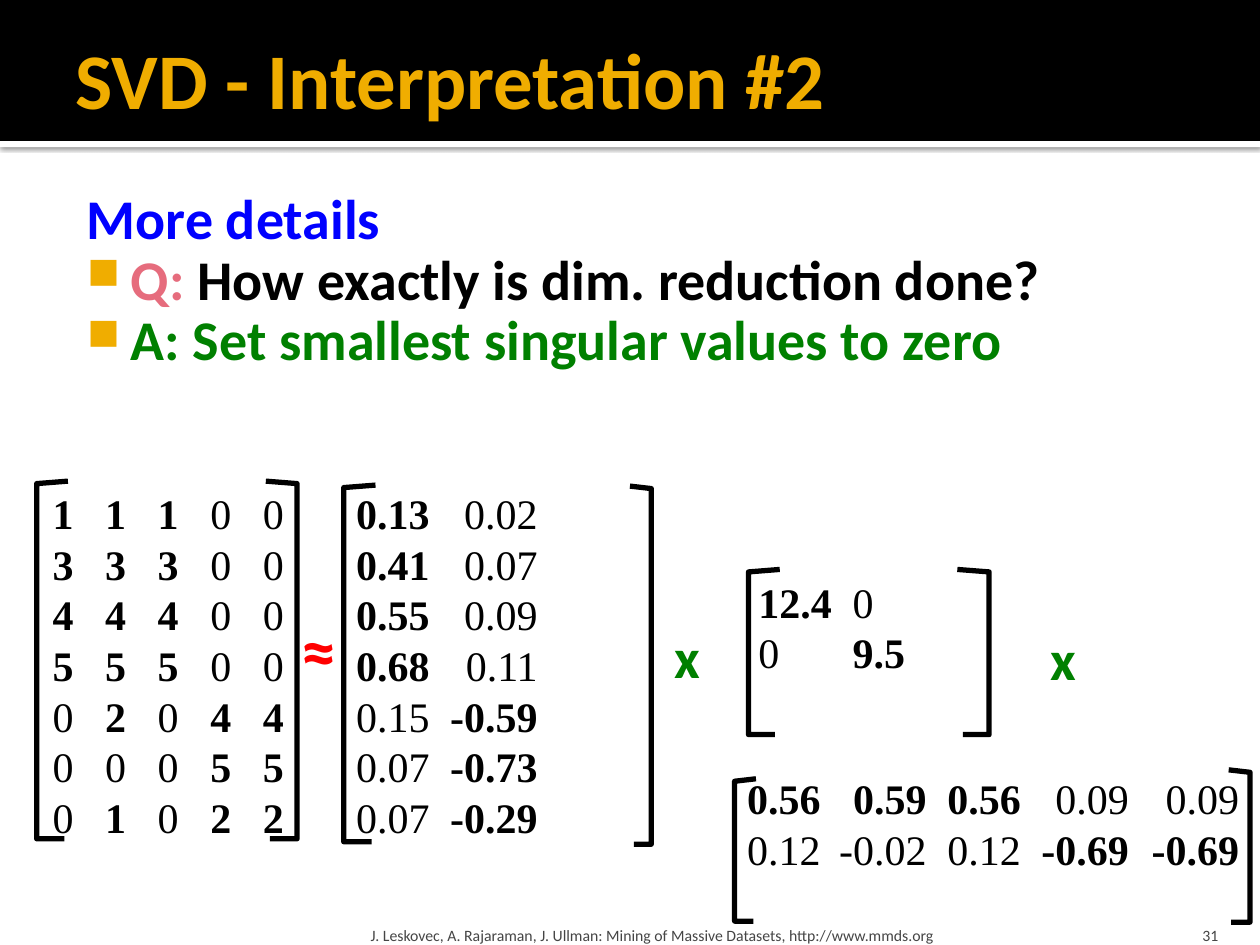
from dataclasses import dataclass

from lxml import etree
from pptx import Presentation
from pptx import util as u
from pptx.dml.color import RGBColor
from pptx.enum import shapes, text
from pptx.oxml.ns import qn

BLACK, WHITE, GOLD, BLUE = "000000", "FFFFFF", "F0AD00", "0000FF"
PINK, GREEN, RED, GRAY = "E66C7D", "008000", "FF0000", "454545"
ROW_PITCH = u.Pt(28.9)


@dataclass
class Bracket:
    """Lengths in cm; the spine is the upright stroke."""
    tip: float
    spine: float
    foot: float
    top: float
    bottom: float


@dataclass
class Matrix:
    """Cells ending in * are bold; tabs are cm from the first column."""
    left: float
    top: float
    width: float
    height: float
    tabs: list[float]
    tab_align: str
    rows: list[str]


@dataclass
class Label:
    box: tuple[float, float, float, float]
    words: str
    size: float
    color: str
    bold: bool = True
    wrap: bool = False
    anchor: text.MSO_ANCHOR = text.MSO_ANCHOR.MIDDLE
    align: text.PP_ALIGN = text.PP_ALIGN.LEFT
    insets: tuple[float, float, float, float] = (0.25, 0.13, 0.25, 0.13)


def rgb(hex_color: str) -> RGBColor:
    return RGBColor.from_string(hex_color)


def add_child(parent, tag: str, **attributes):
    values = {name: str(value) for name, value in attributes.items()}
    return etree.SubElement(parent, qn(tag), values)


def place(shape, box) -> None:
    shape.left, shape.top, shape.width, shape.height = map(u.Cm, box)


def write(paragraph, words: str, *, size: float, color: str = BLACK,
          bold: bool = False, font: str = "Calibri") -> None:
    run = paragraph.add_run()
    run.text = words
    run.font.size, run.font.bold, run.font.name = u.Pt(size), bold, font
    run.font.color.rgb = rgb(color)


def set_frame(shape, insets=(0.25, 0.13, 0.25, 0.13), wrap: bool = True,
              anchor=text.MSO_ANCHOR.TOP):
    frame = shape.text_frame
    frame.auto_size = text.MSO_AUTO_SIZE.NONE
    frame.word_wrap, frame.vertical_anchor = wrap, anchor
    (frame.margin_left, frame.margin_top,
     frame.margin_right, frame.margin_bottom) = map(u.Cm, insets)
    return frame


def add_paragraph(frame, index: int):
    return frame.add_paragraph() if index else frame.paragraphs[0]


def add_bar(slide, box, color: str):
    bar = slide.shapes.add_shape(shapes.MSO_SHAPE.RECTANGLE, *map(u.Cm, box))
    bar.shadow.inherit = False
    bar.fill.solid()
    bar.fill.fore_color.rgb = rgb(color)
    bar.line.fill.background()
    return bar


def add_label(slide, label: Label) -> None:
    box = slide.shapes.add_textbox(*map(u.Cm, label.box))
    frame = set_frame(box, label.insets, label.wrap, label.anchor)
    paragraph = frame.paragraphs[0]
    paragraph.alignment = label.align
    write(paragraph, label.words, size=label.size, color=label.color, bold=label.bold)


def add_bracket(slide, bracket: Bracket) -> None:
    points = [(bracket.tip, bracket.top), (bracket.spine, bracket.top + 0.05),
              (bracket.spine, bracket.bottom), (bracket.foot, bracket.bottom)]
    start, *others = [(u.Cm(x), u.Cm(y)) for x, y in points]
    builder = slide.shapes.build_freeform(*start)
    builder.add_line_segments(others, close=False)
    outline = builder.convert_to_shape()
    outline.shadow.inherit = False
    outline.fill.background()
    outline.line.color.rgb = rgb(BLACK)
    outline.line.width = u.Pt(3)


def add_matrix(slide, matrix: Matrix) -> None:
    box = slide.shapes.add_textbox(*map(u.Cm, (matrix.left, matrix.top,
                                              matrix.width, matrix.height)))
    frame = set_frame(box)
    for index, row in enumerate(matrix.rows):
        paragraph = add_paragraph(frame, index)
        paragraph.line_spacing = ROW_PITCH
        tab_list = add_child(paragraph._p.get_or_add_pPr(), "a:tabLst")
        for stop in matrix.tabs:
            add_child(tab_list, "a:tab", pos=u.Cm(stop), algn=matrix.tab_align)
        for column, cell in enumerate(row.split()):
            write(paragraph, ("\t" if column else "") + cell.rstrip("*"),
                  size=24, bold=cell.endswith("*"), font="Times New Roman")


def add_body(slide, box, lines) -> None:
    frame = set_frame(slide.shapes.add_textbox(*map(u.Cm, box)),
                      (0.15, 0.25, 0.25, 0.13))
    for index, (bulleted, parts) in enumerate(lines):
        paragraph = add_paragraph(frame, index)
        paragraph.line_spacing = 0.9
        props = paragraph._p.get_or_add_pPr()
        props.set("marL", str(u.Cm(1.22)))
        props.set("indent", str(u.Cm(-0.89)))
        if bulleted:
            add_child(add_child(props, "a:buClr"), "a:srgbClr", val=GOLD)
            add_child(props, "a:buSzPct", val=80000)
            add_child(props, "a:buChar", char="■")
        else:
            add_child(props, "a:buNone")
        for words, color in parts:
            write(paragraph, words, size=32, color=color, bold=True)


BODY = [
    (False, [("More details", BLUE)]),
    (True, [("Q:", PINK), (" How exactly is dim. reduction done?", BLACK)]),
    (True, [("A: Set smallest singular values to zero", GREEN)]),
]
BRACKETS = [
    Bracket(1.37, 0.74, 1.3, 9.7, 16.91), Bracket(5.36, 5.99, 5.44, 9.7, 16.91),
    Bracket(7.57, 6.93, 7.49, 9.78, 16.97), Bracket(12.7, 13.13, 12.78, 9.8, 17.02),
    Bracket(15.72, 15.09, 15.62, 11.48, 14.81), Bracket(19.3, 19.94, 19.41, 11.48, 14.81),
    Bracket(15.24, 14.81, 15.19, 15.7, 18.57), Bracket(24.77, 25.2, 24.82, 15.52, 18.59),
]
MATRICES = [
    Matrix(0.81, 9.7, 5.51, 7.44, [1.06 * n for n in range(1, 5)], "l",
           ["1* 1* 1* 0 0", "3* 3* 3* 0 0", "4* 4* 4* 0 0", "5* 5* 5* 0 0",
            "0 2* 0 4* 4*", "0 0 0 5* 5*", "0 1* 0 2* 2*"]),
    Matrix(6.93, 9.7, 6.99, 7.44, [3.66], "r",
           ["0.13* 0.02", "0.41* 0.07", "0.55* 0.09", "0.68* 0.11",
            "0.15 -0.59*", "0.07 -0.73*", "0.07 -0.29*"]),
    Matrix(15.04, 11.48, 5.51, 2.31, [1.9], "l", ["12.4* 0", "0 9.5*"]),
    Matrix(14.81, 15.44, 10.59, 2.31, [3.62, 5.52, 7.7, 9.92], "r",
           ["0.56* 0.59* 0.56* 0.09 0.09", "0.12 -0.02 0.12 -0.69* -0.69*"]),
]
FOOTER = dict(size=9, color=GRAY, bold=False, wrap=True, anchor=text.MSO_ANCHOR.BOTTOM)
LABELS = [
    Label((7.34, 18.29, 15.29, 0.76),
          "J. Leskovec, A. Rajaraman, J. Ullman: Mining of Massive Datasets, "
          "http://www.mmds.org", insets=(0.13, 0.13, 0.13, 0), **FOOTER),
    Label((22.78, 18.29, 2.03, 0.76), "31", align=text.PP_ALIGN.RIGHT,
          insets=(0.25, 0.13, 0.25, 0), **FOOTER),
    Label((5.82, 12.09, 1.3, 1.96), "≈", 40, RED),
    Label((13.34, 12.42, 1.12, 1.63), "x", 32, GREEN),
    Label((20.93, 12.45, 1.12, 1.63), "x", 32, GREEN),
]


def main() -> None:
    deck = Presentation()
    deck.slide_width, deck.slide_height = u.Cm(25.4), u.Cm(19.05)
    slide = deck.slides.add_slide(deck.slide_layouts[5])

    # Header band with a shadowed white edge
    edge = add_bar(slide, (0, 2.84, 25.4, 0.13), WHITE)
    shadow = add_child(edge._element.spPr.find(qn("a:effectLst")), "a:outerShdw",
                       blurRad=u.Pt(2.5), dist=u.Pt(0.8), dir=5400000)
    add_child(add_child(shadow, "a:srgbClr", val=BLACK), "a:alpha", val=60000)
    add_bar(slide, (0, 0, 25.4, 2.84), BLACK)

    # Title, brought in front of the band
    title = slide.shapes.title
    slide.shapes._spTree.append(title._element)
    place(title, (1.27, 0.2, 22.86, 2.74))
    heading = set_frame(title, (0.25, 0.13, 0.13, 0.13),
                        anchor=text.MSO_ANCHOR.MIDDLE).paragraphs[0]
    heading.alignment = text.PP_ALIGN.LEFT
    write(heading, "SVD - Interpretation #2", size=45, color=GOLD, bold=True)

    # Question and answer
    add_body(slide, (1.27, 3.61, 22.86, 14.6), BODY)

    # Matrix product, operators and footer
    for bracket in BRACKETS:
        add_bracket(slide, bracket)
    for label in LABELS:
        add_label(slide, label)
    for matrix in MATRICES:
        add_matrix(slide, matrix)

    deck.save("out.pptx")


if __name__ == "__main__":
    main()
